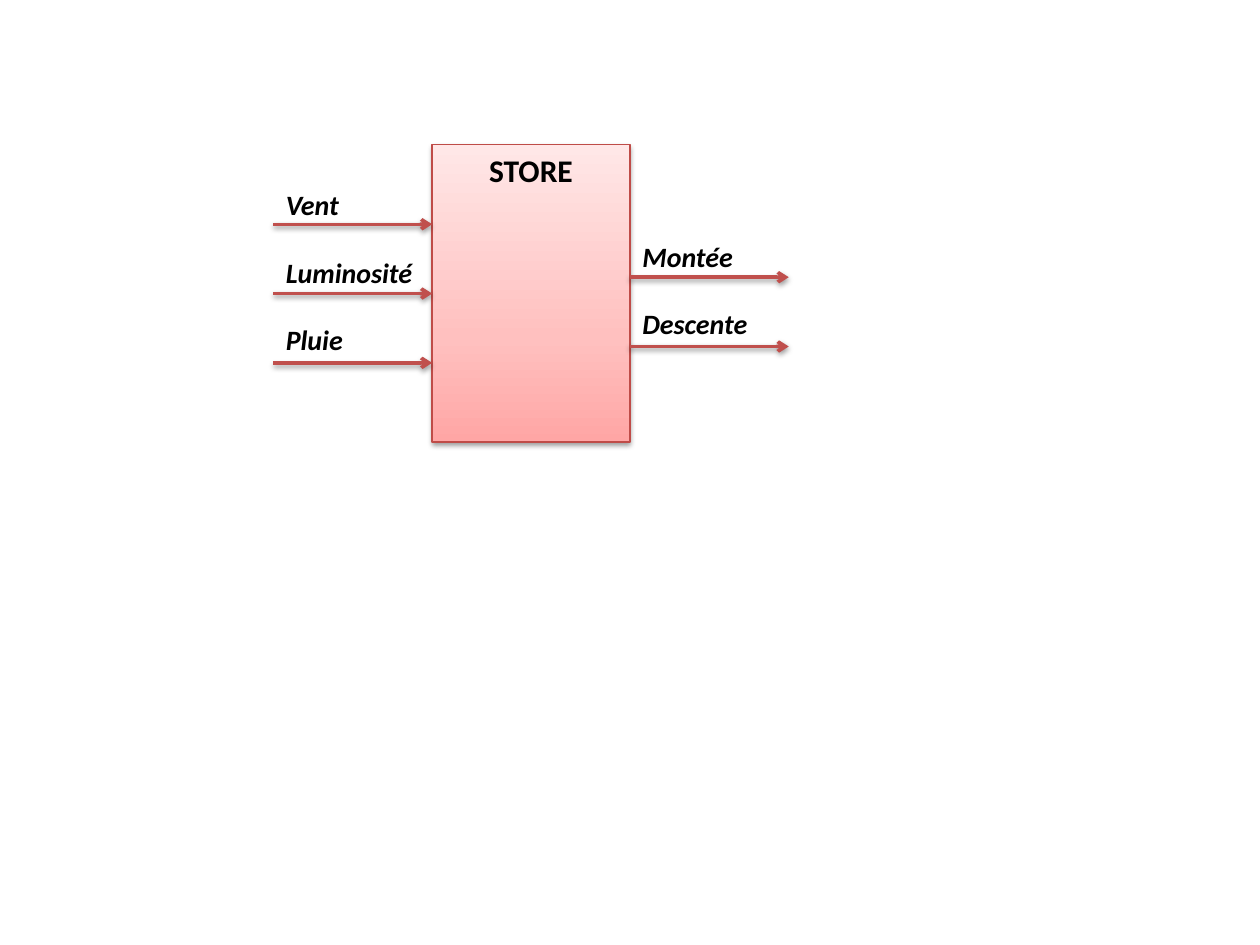
import copy

import lxml.etree
import pptx
import pptx.dml.color
import pptx.enum.shapes
import pptx.enum.text
import pptx.oxml
import pptx.oxml.ns
import pptx.util
from pptx.util import Inches

BLACK = pptx.dml.color.RGBColor(0x00, 0x00, 0x00)
BORDER_RED = pptx.dml.color.RGBColor(0xBF, 0x4C, 0x48)
ARROW_RED = pptx.dml.color.RGBColor(0xC0, 0x50, 0x4D)
GRADIENT = [
    (0, pptx.dml.color.RGBColor(0xFF, 0xA6, 0xA5)),
    (0.35, pptx.dml.color.RGBColor(0xFF, 0xC0, 0xBF)),
    (1, pptx.dml.color.RGBColor(0xFF, 0xE7, 0xE7)),
]

BOX_LEFT, BOX_TOP, BOX_WIDTH, BOX_HEIGHT = 3.43, 1.15, 1.57, 2.36
ARROW_LENGTH = 1.26
ARROW_STEP = 0.55
LABEL_STEP = 0.535
LABEL_WIDTH, LABEL_HEIGHT = 1.42, 0.37

SHADOW = (
    '<a:effectLst xmlns:a="http://schemas.openxmlformats.org/drawingml/2006/main">'
    '<a:outerShdw blurRad="39370" dist="20320" dir="5400000" rotWithShape="0">'
    '<a:srgbClr val="000000"><a:alpha val="38000"/></a:srgbClr>'
    "</a:outerShdw></a:effectLst>"
)


def add_shadow(shape):
    """Append the soft shadow; call it once the line is set."""
    shape._element.spPr.append(pptx.oxml.parse_xml(SHADOW))


def fill_gradient(shape):
    """Fill from the bottom upwards with the GRADIENT stops."""
    shape.fill.gradient()
    shape.fill.gradient_angle = 90
    stop_list = shape._element.spPr.find(".//" + pptx.oxml.ns.qn("a:gsLst"))
    stop_list.append(copy.deepcopy(stop_list[-1]))
    for stop, (position, color) in zip(shape.fill.gradient_stops, GRADIENT):
        stop.position = position
        stop.color.rgb = color


def write_text(shape, text, size, italic=False):
    para = shape.text_frame.paragraphs[0]
    para.text = text
    font = para.font
    font.name = "Calibri"
    font.size = pptx.util.Pt(size)
    font.bold = True
    font.italic = italic
    font.color.rgb = BLACK
    return para


def add_system_box(slide, text):
    box = slide.shapes.add_shape(
        pptx.enum.shapes.MSO_SHAPE.RECTANGLE,
        Inches(BOX_LEFT), Inches(BOX_TOP), Inches(BOX_WIDTH), Inches(BOX_HEIGHT),
    )
    fill_gradient(box)
    box.line.color.rgb = BORDER_RED
    box.line.width = pptx.util.Pt(0.75)
    add_shadow(box)
    box.text_frame.vertical_anchor = pptx.enum.text.MSO_ANCHOR.TOP
    write_text(box, text, 18).alignment = pptx.enum.text.PP_ALIGN.CENTER
    return box


def add_arrow(slide, left, y):
    arrow = slide.shapes.add_connector(
        pptx.enum.shapes.MSO_CONNECTOR.STRAIGHT,
        Inches(left), Inches(y), Inches(left + ARROW_LENGTH), Inches(y),
    )
    arrow.line.color.rgb = ARROW_RED
    arrow.line.width = pptx.util.Pt(2)
    lxml.etree.SubElement(
        arrow.line._get_or_add_ln(), pptx.oxml.ns.qn("a:tailEnd"), type="arrow"
    )
    add_shadow(arrow)
    return arrow


def add_label(slide, text, left, top):
    label = slide.shapes.add_textbox(
        Inches(left), Inches(top), Inches(LABEL_WIDTH), Inches(LABEL_HEIGHT)
    )
    label.text_frame.word_wrap = True
    label.text_frame.auto_size = pptx.enum.text.MSO_AUTO_SIZE.SHAPE_TO_FIT_TEXT
    write_text(label, text, 16, italic=True)


def add_signals(slide, names, left, arrow_top, label_top):
    """Add a column of labelled arrows and return the arrows."""
    arrows = []
    for index, name in enumerate(names):
        arrows.append(add_arrow(slide, left, arrow_top + index * ARROW_STEP))
        add_label(slide, name, left, label_top + index * LABEL_STEP)
    return arrows


def main():
    deck = pptx.Presentation()
    deck.slide_width = Inches(10)
    deck.slide_height = Inches(7.5)
    slide = deck.slides.add_slide(deck.slide_layouts[6])

    box = add_system_box(slide, "STORE")
    inputs = add_signals(
        slide, ["Vent", "Luminosité", "Pluie"], BOX_LEFT - ARROW_LENGTH, 1.78, 1.44
    )
    inputs[1].end_connect(box, 1)
    add_signals(slide, ["Montée", "Descente"], BOX_LEFT + BOX_WIDTH, 2.2, 1.85)

    deck.save("out.pptx")


if __name__ == "__main__":
    main()
